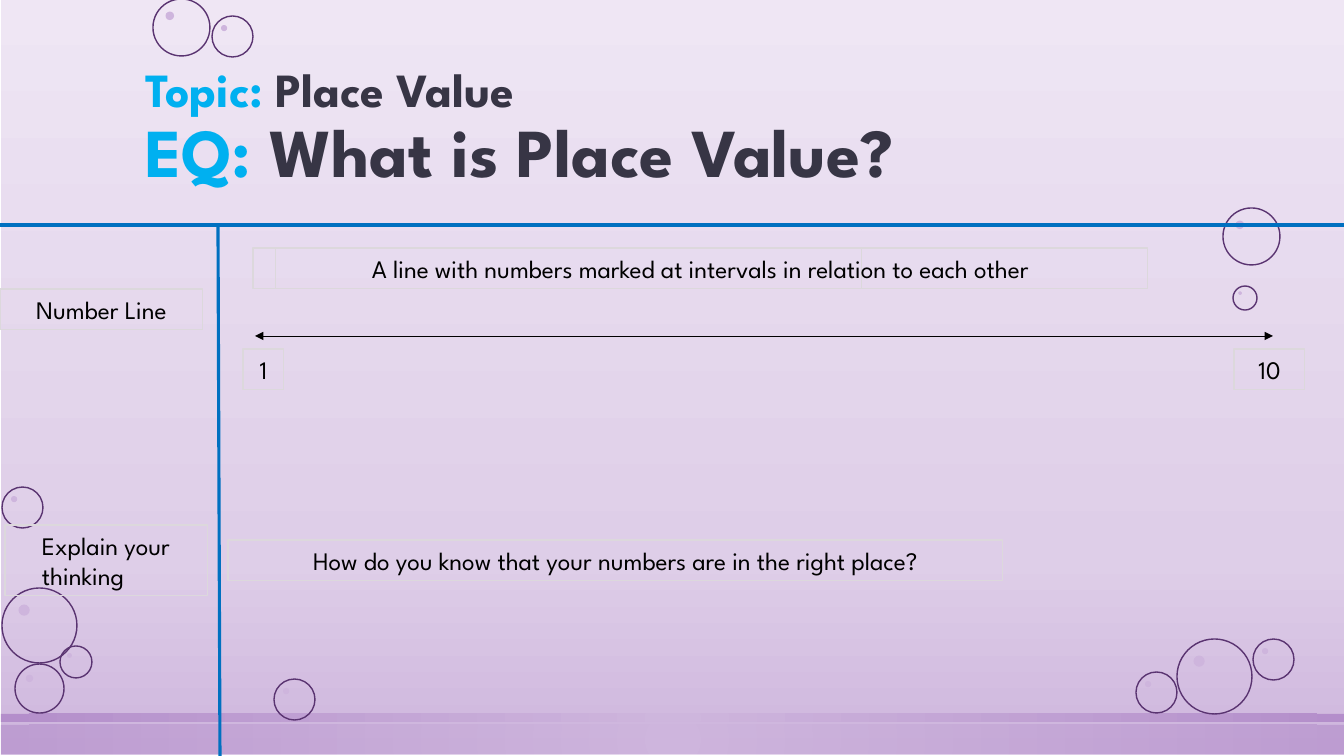
from lxml import etree
from pptx import Presentation
from pptx import util as u
from pptx.dml.color import RGBColor
from pptx.enum import shapes, text
from pptx.oxml import ns

# Content: lengths in px, boxes as (left, top, width, height)
TITLE_BOX = (135, 6, 1058, 191)
TITLE_LINES = [("Topic: ", "Place Value", "topic"),
               ("EQ: ", "What is Place Value?", "question")]

NOTES = [  # words, box, left inset (None = centred)
    ("Number Line", (0, 289, 203, 41), None),
    ("", (276, 248, 586, 41), None),
    ("1", (243, 349, 41, 41), None),
    ("10", (1234, 349, 71, 41), None),
    ("Explain your thinking", (5, 525, 203, 71), 37),
    ("How do you know that your numbers are in the right place?",
     (228, 540, 775, 41), None),
    ("A line with numbers marked at intervals in relation to each other",
     (253, 248, 895, 41), None),
]

BUBBLES = [  # left, top, diameter
    (2, 588, 75), (60, 646, 32), (15, 664, 49), (274, 679, 41),
    (2, 487, 41), (1177, 639, 75), (1136, 672, 41), (1253, 639, 41),
    (1223, 208, 57), (1233, 286, 24), (153, -1, 57), (212, 16, 41),
]

BACKDROP = [  # box, gradient stops (position, colour, opacity), radial
    ((1, -2, 1344, 756),
     [(0, "EFE6F4", 100), (74, "DECEE8", 100), (100, "CEB5DD", 100)], False),
    ((1, 725, 1344, 30), [(0, "CEB5DD", 50), (100, "AD84C6", 50)], True),
    ((1, 714, 1344, 8), [(0, "CEB5DD", 80), (100, "AD84C6", 80)], True),
]

RULES = [  # start, end
    ((218, 225), (220, 756)),
    ((0, 225), (1344, 225)),
]
NUMBER_LINE = ((255, 336), (1273, 336))

THEME = {
    "font": "League Spartan",
    "colors": {"accent": "00B0F0", "title": "373545", "body": "000000",
               "rule": "0070C0", "frame": "DCD8DC",
               "bubble": "5A3471", "shine": "CEB5DD"},
    "sizes": {"topic": 34, "question": 49, "body": 18},
}
PX = 914400 / 100.8


def px(*lengths):
    return [u.Emu(round(n * PX)) for n in lengths]


def color(name):
    return RGBColor.from_string(THEME["colors"][name])


def set_font(font, size, color_name, bold=False):
    values = {"name": THEME["font"], "size": u.Pt(THEME["sizes"][size]),
              "bold": bold}
    for key, value in values.items():
        setattr(font, key, value)
    font.color.rgb = color(color_name)


def set_frame(frame, anchor, inset=10):
    values = {"word_wrap": True, "auto_size": text.MSO_AUTO_SIZE.NONE,
              "vertical_anchor": anchor}
    sides = {"margin_left": inset, "margin_right": 10,
             "margin_top": 5, "margin_bottom": 5}
    values.update({side: px(n)[0] for side, n in sides.items()})
    for key, value in values.items():
        setattr(frame, key, value)


def add_outline(slide, kind, box, fill=None, line=None, width=1):
    outline = slide.shapes.add_shape(kind, *px(*box))
    outline.shadow.inherit = False
    if fill:
        outline.fill.solid()
        outline.fill.fore_color.rgb = color(fill)
    else:
        outline.fill.background()
    if line:
        outline.line.color.rgb = color(line)
        outline.line.width = u.Pt(width)
    else:
        outline.line.fill.background()
    return outline


def set_gradient(band, stops, radial):
    props = band.element.spPr
    grad = etree.Element(ns.qn("a:gradFill"), rotWithShape="1")
    stop_list = etree.SubElement(grad, ns.qn("a:gsLst"))
    for position, hex_color, opacity in stops:
        stop = etree.SubElement(stop_list, ns.qn("a:gs"), pos=str(position * 1000))
        tint = etree.SubElement(stop, ns.qn("a:srgbClr"), val=hex_color)
        if opacity < 100:
            etree.SubElement(tint, ns.qn("a:alpha"), val=str(opacity * 1000))
    if radial:
        focus = etree.SubElement(grad, ns.qn("a:path"), path="circle")
        etree.SubElement(focus, ns.qn("a:fillToRect"),
                         dict.fromkeys("ltrb", "50000"))
    else:
        etree.SubElement(grad, ns.qn("a:lin"), ang="5400000", scaled="0")
    props.replace(props.find(ns.qn("a:noFill")), grad)


def add_line(slide, start, end, line, width, arrows=False):
    rule = slide.shapes.add_connector(shapes.MSO_CONNECTOR.STRAIGHT,
                                      *px(*start, *end))
    rule.line.color.rgb = color(line)
    rule.line.width = u.Pt(width)
    if arrows:
        for tag in ("a:headEnd", "a:tailEnd"):
            etree.SubElement(rule.line._get_or_add_ln(), ns.qn(tag),
                             type="triangle")
    etree.SubElement(rule.element.spPr, ns.qn("a:effectLst"))
    return rule


def fill_title(title):
    for side, n in zip(("left", "top", "width", "height"), px(*TITLE_BOX)):
        setattr(title, side, n)
    set_frame(title.text_frame, text.MSO_ANCHOR.BOTTOM)
    heading = title.text_frame.paragraphs[0]
    heading.alignment = text.PP_ALIGN.LEFT
    heading.line_spacing = 0.9
    for row, (label, words, size) in enumerate(TITLE_LINES):
        if row:
            heading.add_line_break()
        for part, color_name in ((label, "accent"), (words, "title")):
            run = heading.add_run()
            run.text = part
            set_font(run.font, size, color_name, bold=True)


def main():
    deck = Presentation()
    deck.slide_width, deck.slide_height = px(1344, 756)
    slide = deck.slides.add_slide(deck.slide_layouts[5])
    rectangle, oval = shapes.MSO_SHAPE.RECTANGLE, shapes.MSO_SHAPE.OVAL

    # Backdrop and bubbles
    for box, stops, radial in BACKDROP:
        set_gradient(add_outline(slide, rectangle, box), stops, radial)
    for left, top, size in BUBBLES:
        add_outline(slide, oval, (left, top, size, size), line="bubble")
        inset, shine = size * 0.22, size * 0.15
        add_outline(slide, oval, (left + inset, top + inset, shine, shine),
                    fill="shine")

    # Rules, with the title brought in front of the backdrop
    for start, end in RULES:
        rule = add_line(slide, start, end, "rule", 2.25)
    title = slide.shapes.title
    rule.element.addnext(title.element)
    fill_title(title)

    # Number line and notes
    add_line(slide, *NUMBER_LINE, "body", 0.5, arrows=True)
    for words, box, inset in NOTES:
        note = add_outline(slide, rectangle, box, line="frame", width=0.75)
        if not words:
            continue
        set_frame(note.text_frame, text.MSO_ANCHOR.MIDDLE, inset or 10)
        line = note.text_frame.paragraphs[0]
        line.text = words
        line.alignment = text.PP_ALIGN.LEFT if inset else text.PP_ALIGN.CENTER
        set_font(line.runs[0].font, "body", "body")

    deck.save("out.pptx")


if __name__ == "__main__":
    main()
